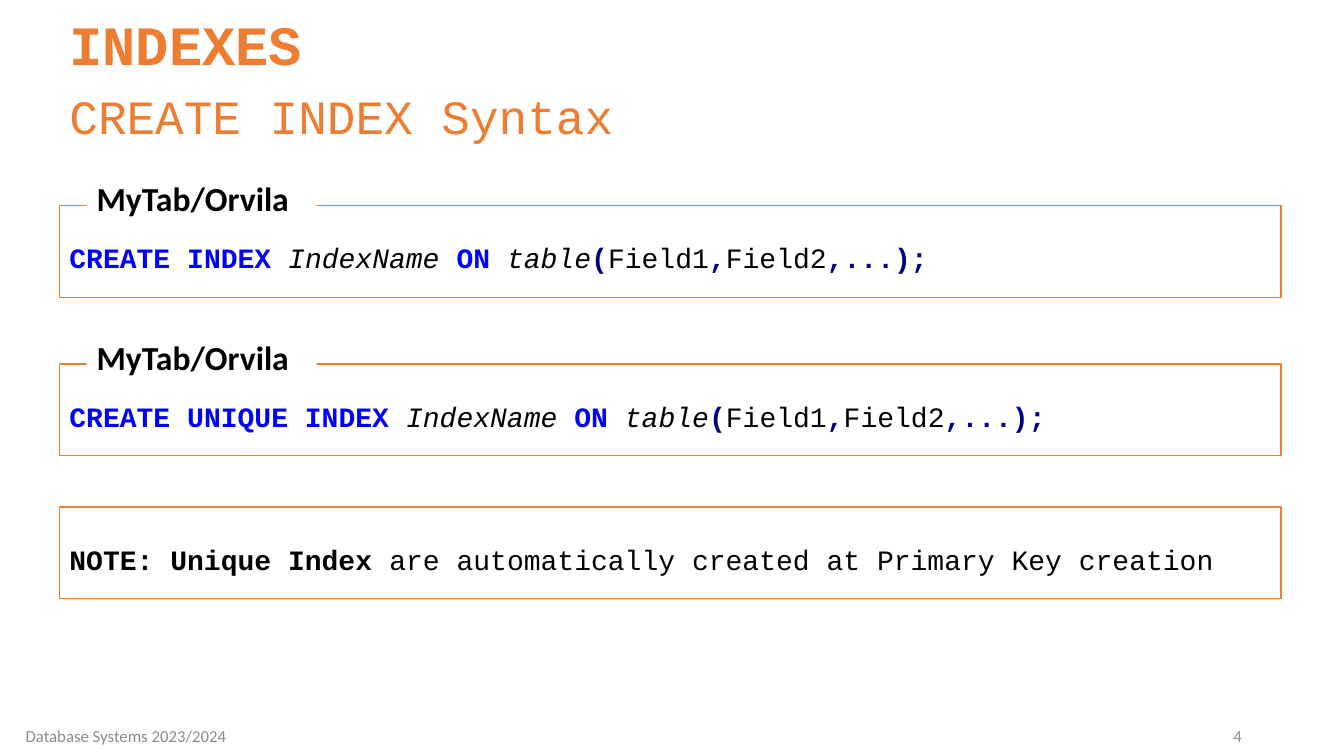
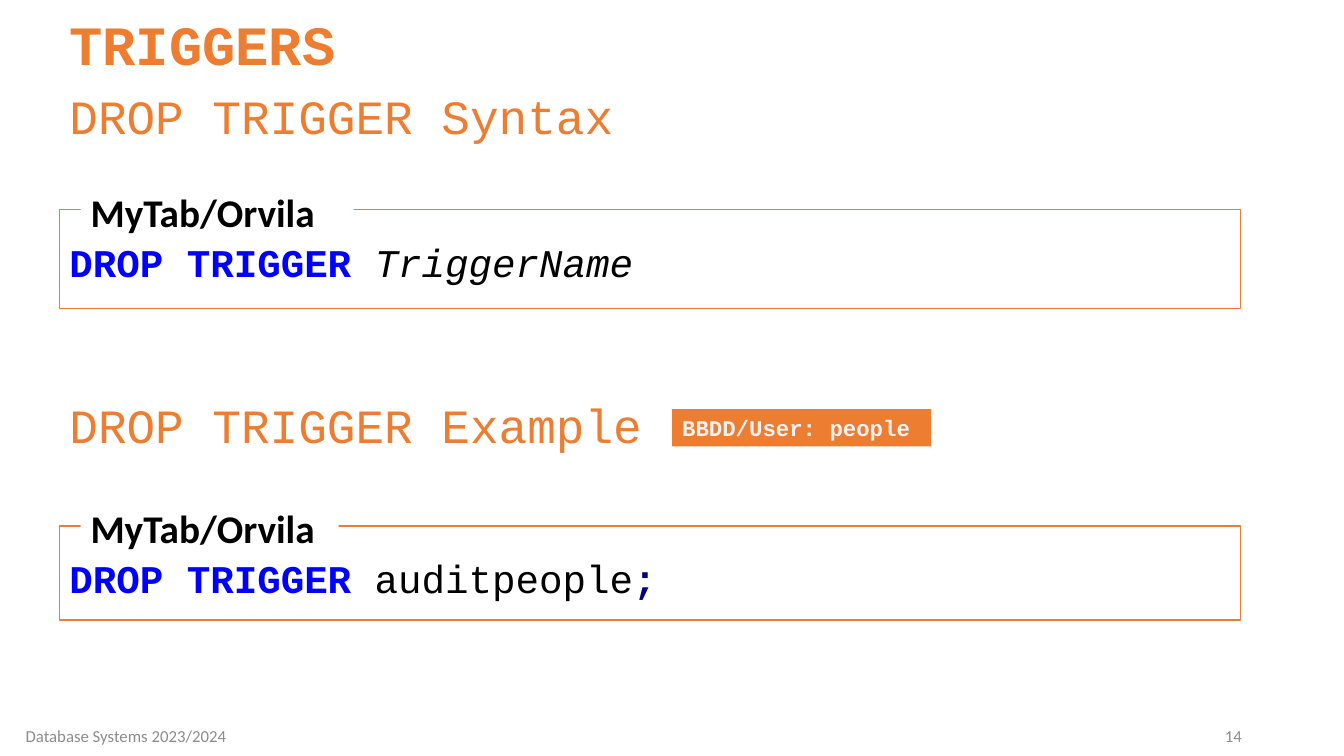
from dataclasses import dataclass
from typing import NamedTuple, Optional

from pptx import Presentation
from pptx.dml.color import RGBColor as RGB
from pptx.enum.shapes import MSO_SHAPE as SHAPE
from pptx.enum.text import MSO_ANCHOR as ANCHOR, PP_ALIGN as ALIGN
from pptx.util import Pt

COLORS = {
    "accent": "ED7D31", "white": "FFFFFF", "black": "000000", "keyword": "0000FF",
    "symbol": "000080", "footer": "8C8C8C", "badge": "F2F2F2",
}
MONO, SANS = "Courier New", "Calibri"
LEFT, TEXT_W = 42.5, 843.8
FOOTER_TOP, FOOTER_H = 511.2, 28.8
FOOTER = "Database Systems 2023/2024"
SYSTEMS = "MyTab/Orvila"

# Run styles: colour, bold, italic
STYLES = {
    "keyword": ("keyword", True, False),
    "symbol": ("symbol", True, False),
    "name": ("black", False, True),
    "plain": ("black", False, False),
    "strong": ("black", True, False),
}


class Box(NamedTuple):
    left: float
    top: float
    width: float
    height: float


class Run(NamedTuple):
    text: str
    style: str = "plain"


@dataclass
class Label:
    box: Box
    size: float


@dataclass
class Panel:
    box: Box
    runs: list[Run]
    size: float
    inset_top: float
    label: Optional[Label] = None


@dataclass
class Page:
    title: str
    number: int
    subtitles: list[tuple[float, str]]
    panels: list[Panel]
    badge: Optional[tuple[Box, str]] = None


def rgb(name: str) -> RGB:
    return RGB.from_string(COLORS[name])


def place(box: Box) -> list[Pt]:
    return [Pt(v) for v in box]


def style_font(font, size: float, color: str, name: str, bold: bool = False) -> None:
    font.size, font.name, font.bold = Pt(size), name, bold
    font.color.rgb = rgb(color)


def add_text(s, box: Box, text: str, size: float, color: str, name: str = MONO,
             bold: bool = False, align=ALIGN.LEFT, spacing: float = 1.0) -> None:
    tf = s.shapes.add_textbox(*place(box)).text_frame
    tf.word_wrap, tf.vertical_anchor = True, ANCHOR.MIDDLE
    p = tf.paragraphs[0]
    p.text, p.alignment, p.line_spacing = text, align, spacing
    style_font(p.font, size, color, name, bold)


def add_rect(s, box: Box, fill: str, line: Optional[str] = None):
    sp = s.shapes.add_shape(SHAPE.RECTANGLE, *place(box))
    sp.shadow.inherit = False
    sp.fill.solid()
    sp.fill.fore_color.rgb = rgb(fill)
    if line:
        sp.line.color.rgb = rgb(line)
        sp.line.width = Pt(1)
    else:
        sp.line.fill.background()
    tf = sp.text_frame
    tf.word_wrap, tf.vertical_anchor = True, ANCHOR.TOP
    tf.paragraphs[0].alignment = ALIGN.LEFT
    return tf


def add_tag(s, box: Box, text: str, size: float, fill: str, color: str, name: str) -> None:
    p = add_rect(s, box, fill).paragraphs[0]
    p.text = text
    style_font(p.font, size, color, name, True)


def add_panel(s, panel: Panel) -> None:
    tf = add_rect(s, panel.box, "white", "accent")
    tf.margin_top = Pt(panel.inset_top)
    p = tf.paragraphs[0]
    for text, style in panel.runs:
        color, bold, italic = STYLES[style]
        r = p.add_run()
        r.text = text
        style_font(r.font, panel.size, color, MONO, bold)
        r.font.italic = italic
    if panel.label:
        add_tag(s, panel.label.box, SYSTEMS, panel.label.size, "white", "black", SANS)


def add_page(prs, page: Page) -> None:
    s = prs.slides.add_slide(prs.slide_layouts[6])
    # Code panels
    for panel in page.panels:
        add_panel(s, panel)
    # Title and subtitles
    add_text(s, Box(LEFT, 10.8, TEXT_W, 49.7), page.title, 39.6, "accent",
             bold=True, spacing=0.8)
    for top, text in page.subtitles:
        add_text(s, Box(LEFT, top, TEXT_W, 49.7), text, 34.1, "accent", spacing=0.9)
    # Footer
    add_text(s, Box(678.2, FOOTER_TOP, 216, FOOTER_H), str(page.number), 12, "footer",
             SANS, align=ALIGN.RIGHT)
    add_text(s, Box(0, FOOTER_TOP, 180, FOOTER_H), FOOTER, 12, "footer",
             SANS, align=ALIGN.CENTER)
    # Badge beside a subtitle
    if page.badge:
        box, text = page.badge
        add_tag(s, box, text, 16, "accent", "badge", MONO)


def index_panel(top: float, runs: list[Run], labelled: bool = True) -> Panel:
    label = Label(Box(61.9, top - 23, 164.2, 36), 24) if labelled else None
    return Panel(Box(LEFT, top, 872.6, 65.5), runs, 20, 25.2, label)


def create_index(kind: str) -> list[Run]:
    return [
        Run("CREATE", "keyword"), Run(" "), Run(kind, "keyword"), Run(" "),
        Run("IndexName", "name"), Run(" "), Run("ON", "keyword"), Run(" "),
        Run("table", "name"), Run("(", "symbol"), Run("Field1"), Run(",", "symbol"),
        Run("Field2"), Run(",...);", "symbol"),
    ]


def trigger_panel(top: float, height: float, label_w: float, target: list[Run]) -> Panel:
    runs = [Run("DROP", "keyword"), Run(" "), Run("TRIGGER", "keyword"), Run(" "), *target]
    label = Label(Box(57.6, top - 19, label_w, 41.2), 28)
    return Panel(Box(LEFT, top, TEXT_W, height), runs, 28, 20.2, label)


SUBTITLE_TOP = 59.8
PAGES = [
    Page("INDEXES", 4, [(SUBTITLE_TOP, "CREATE INDEX Syntax")], [
        index_panel(146.9, create_index("INDEX")),
        index_panel(259.9, create_index("UNIQUE INDEX")),
        index_panel(362.2, [
            Run("NOTE: Unique Index ", "strong"),
            Run("are automatically created at Primary Key creation"),
        ], labelled=False),
    ]),
    Page("TRIGGERS", 14, [
        (SUBTITLE_TOP, "DROP TRIGGER Syntax"),
        (280.8, "DROP TRIGGER Example"),
    ], [
        trigger_panel(149.8, 70.6, 195.1, [Run("TriggerName", "name")]),
        trigger_panel(375.8, 67, 184.3, [Run("auditpeople"), Run(";", "symbol")]),
    ], (Box(480.2, 292.3, 185, 26.6), "BBDD/User: people")),
]

prs = Presentation()
prs.slide_width, prs.slide_height = Pt(960), Pt(540)
for page in PAGES:
    add_page(prs, page)
prs.save("out.pptx")
